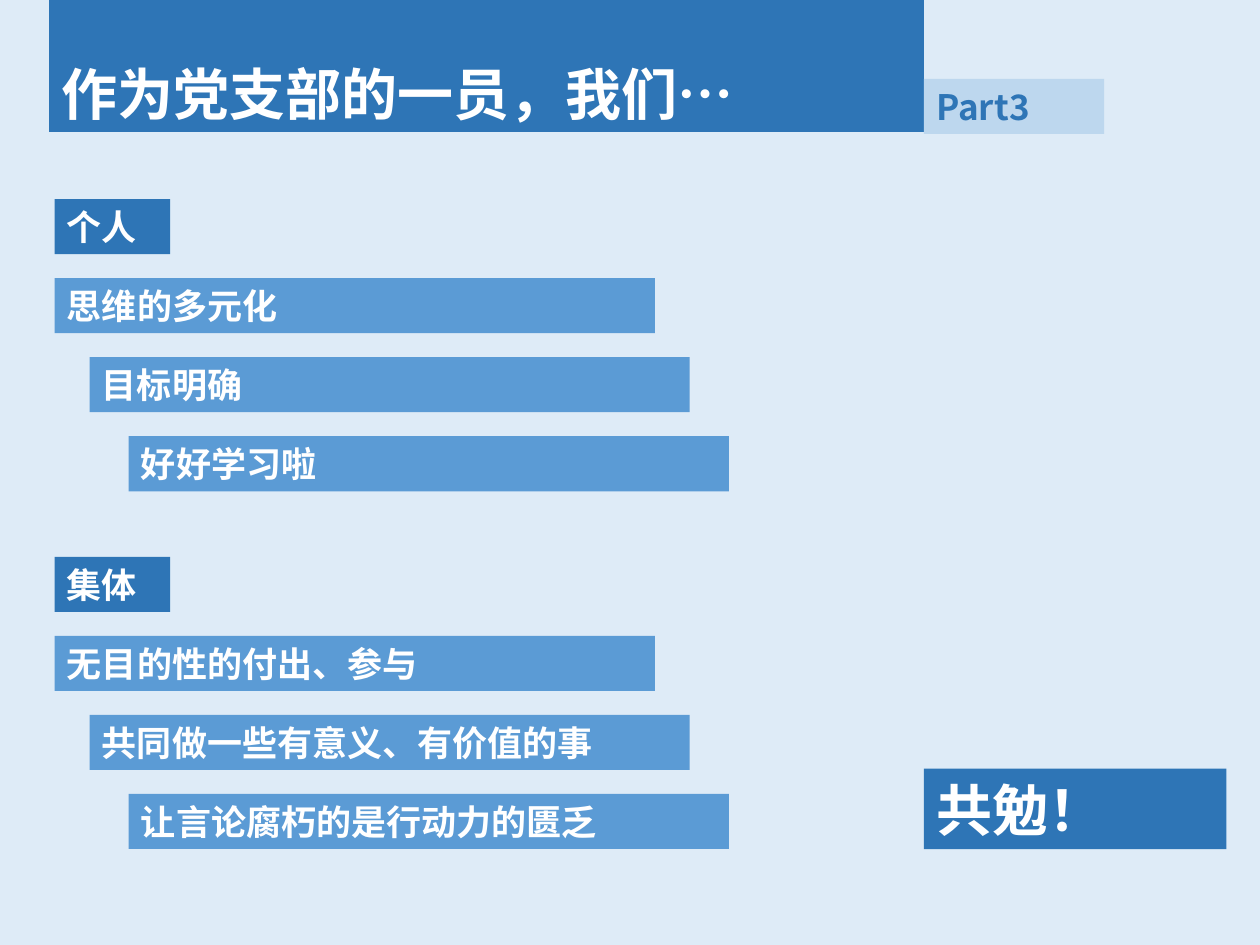
from lxml.etree import SubElement
from pptx import Presentation
from pptx.dml.color import RGBColor
from pptx.enum.shapes import MSO_SHAPE as Shape
from pptx.enum.text import MSO_ANCHOR as Anchor, PP_ALIGN as Align
from pptx.oxml.ns import qn
from pptx.util import Pt

NAVY = RGBColor(0x2E, 0x75, 0xB6)
BLUE = RGBColor(0x5B, 0x9B, 0xD5)
PALE = RGBColor(0xBD, 0xD7, 0xEE)
BACKDROP = RGBColor(0xDE, 0xEB, 0xF7)
WHITE = RGBColor(0xFF, 0xFF, 0xFF)

CJK_FONT = "Noto Sans CJK SC"
BODY_FONT = "Calibri"

LEFT = 31.2
RIGHT_COLUMN = 528
BAR_HEIGHT = 31.5
BIG_BAR_HEIGHT = 46
ROW_STEP = 45.15
INDENTS = (0, 20, 42.3)

SECTIONS = (
    (113.8, "个人", ("思维的多元化", "目标明确", "好好学习啦")),
    (318.2, "集体", ("无目的性的付出、参与", "共同做一些有意义、有价值的事",
                   "让言论腐朽的是行动力的匮乏")),
)


class SlideBuilder:
    def __init__(self, slide):
        self.slide = slide
        background = slide.background.fill
        background.solid()
        background.fore_color.rgb = BACKDROP

    def set_text(self, holder, text, size, color, font):
        frame = holder.text_frame
        frame.text = text
        frame.word_wrap = True
        frame.vertical_anchor = Anchor.MIDDLE
        paragraph = frame.paragraphs[0]
        paragraph.alignment = Align.LEFT
        run = paragraph.runs[0]
        run.font.size = Pt(size)
        run.font.bold = True
        run.font.color.rgb = color
        run.font.name = font
        east_asian = SubElement(run._r.get_or_add_rPr(), qn("a:ea"))
        east_asian.set("typeface", CJK_FONT)

    def bar(self, left, top, width, height, fill, text="",
            size=20, color=WHITE, font=BODY_FONT):
        """Draw a filled rectangle without outline, with text if given."""
        bar = self.slide.shapes.add_shape(
            Shape.RECTANGLE, Pt(left), Pt(top), Pt(width), Pt(height))
        bar.shadow.inherit = False
        bar.fill.solid()
        bar.fill.fore_color.rgb = fill
        bar.line.fill.background()
        if text:
            self.set_text(bar, text, size, color, font)

    def label(self, left, top, width, height, text, size, color, font):
        label = self.slide.shapes.add_textbox(
            Pt(left), Pt(top), Pt(width), Pt(height))
        self.set_text(label, text, size, color, font)

    def section(self, top, heading, points):
        """Draw a heading with its points stepping to the right below it."""
        self.bar(LEFT, top, 66, BAR_HEIGHT, NAVY, heading)
        for row, (indent, point) in enumerate(zip(INDENTS, points), start=1):
            self.bar(LEFT + indent, top + row * ROW_STEP, 343, BAR_HEIGHT,
                     BLUE, point)


def main():
    deck = Presentation()
    deck.slide_width, deck.slide_height = Pt(720), Pt(540)
    builder = SlideBuilder(deck.slides.add_slide(deck.slide_layouts[6]))

    builder.bar(28, 0, 500, 75.4, NAVY)
    builder.label(28, 30, 469, BIG_BAR_HEIGHT, "作为党支部的一员，我们…",
                  32, WHITE, CJK_FONT)
    builder.bar(RIGHT_COLUMN, 45.1, 103, BAR_HEIGHT, PALE, "Part3",
                color=NAVY, font=CJK_FONT)
    for top, heading, points in SECTIONS:
        builder.section(top, heading, points)
    builder.bar(RIGHT_COLUMN, 439.2, 172.8, BIG_BAR_HEIGHT, NAVY, "共勉！",
                size=32, font=CJK_FONT)

    deck.save("out.pptx")


if __name__ == "__main__":
    main()
